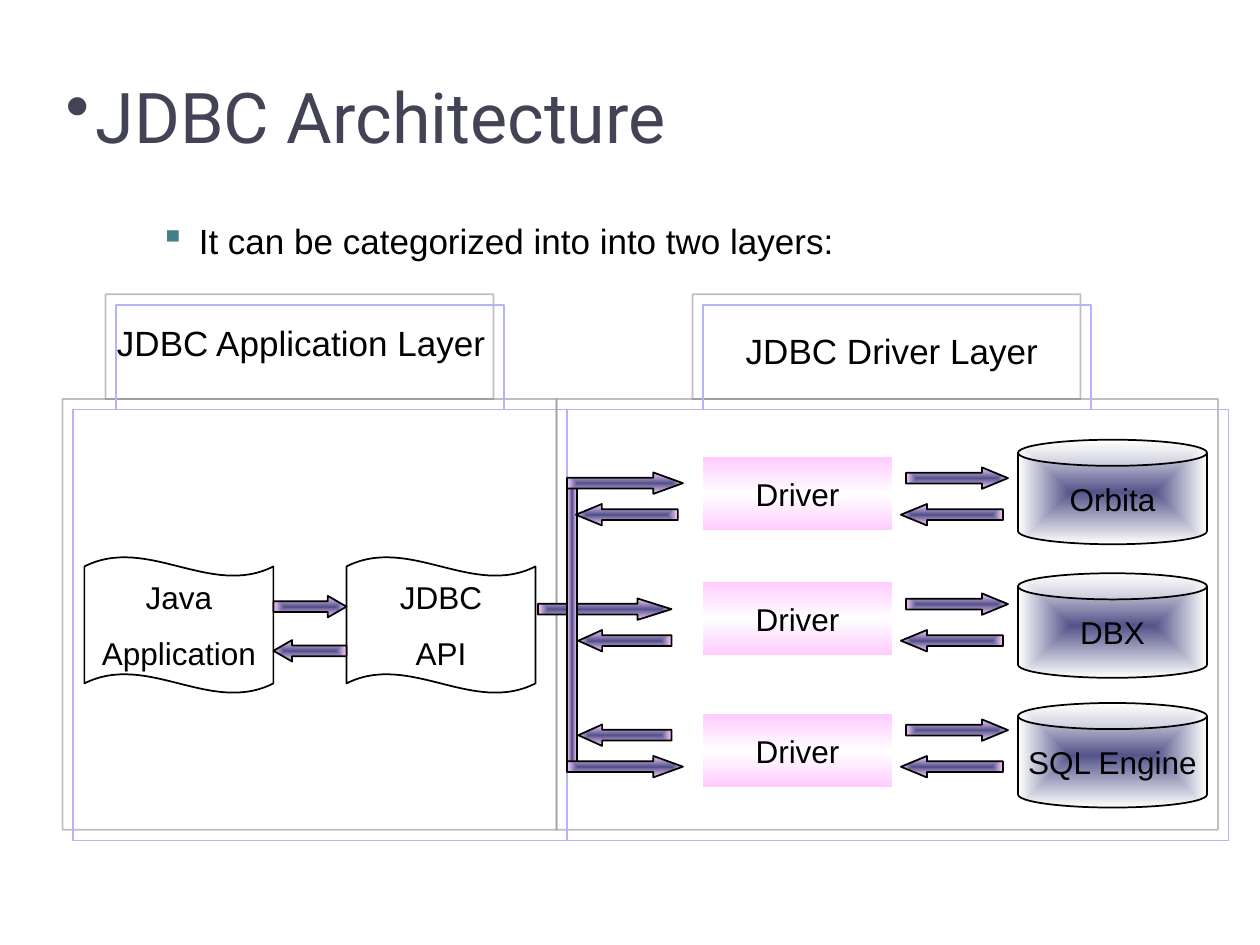
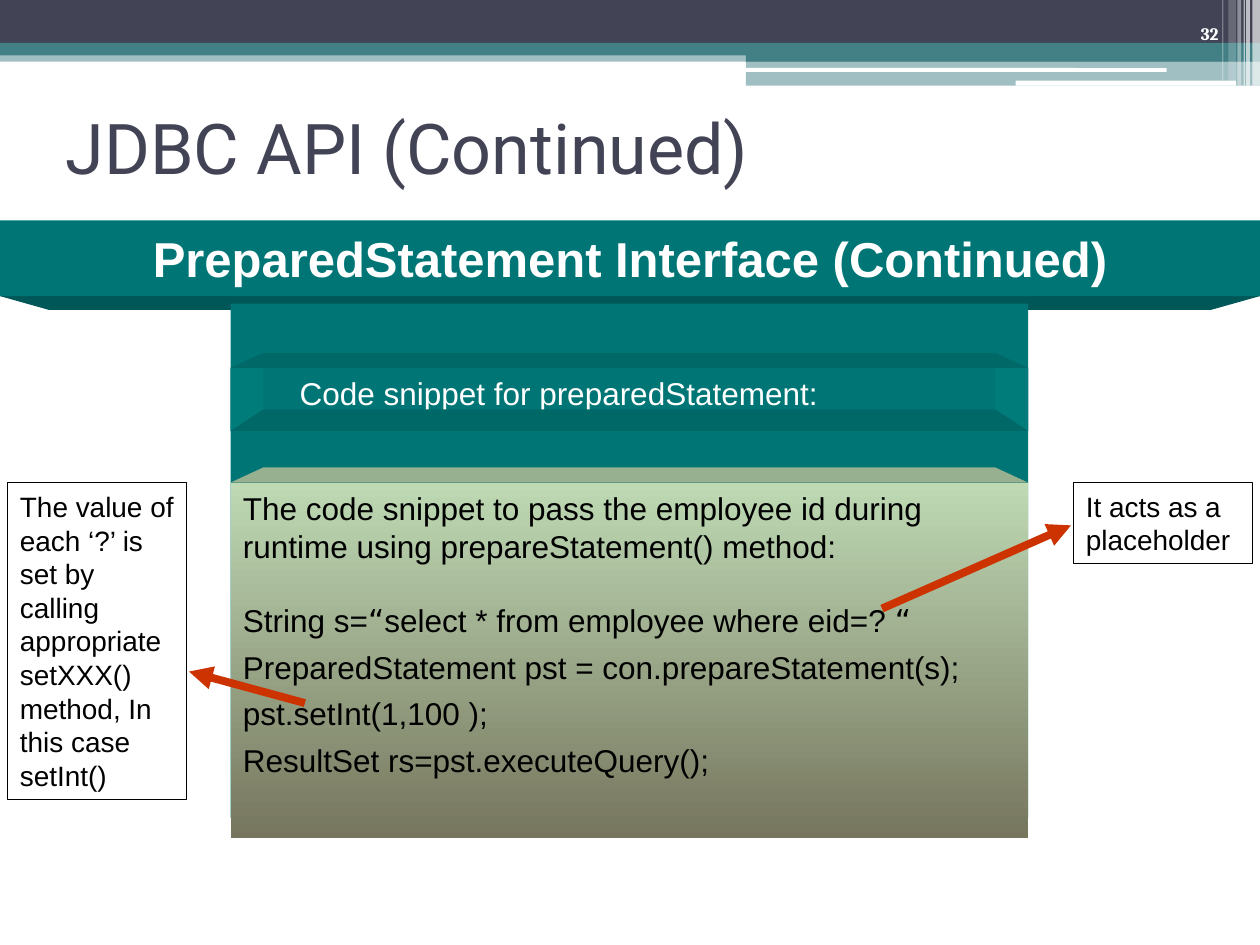
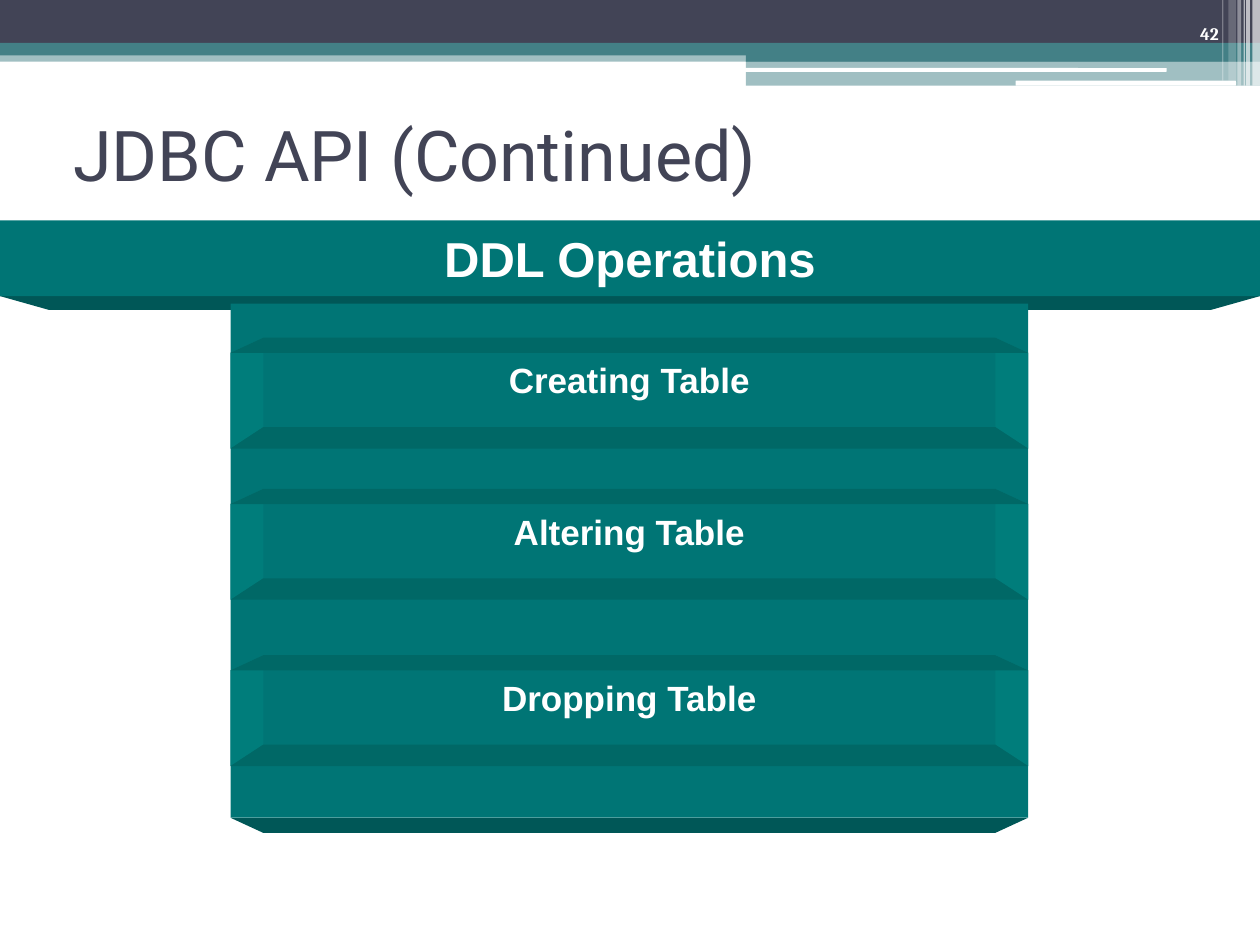
import pptx
import pptx.util
import pptx.dml.color
import pptx.enum.shapes
import pptx.enum.text
import pptx.oxml

Inches = pptx.util.Inches
Pt = pptx.util.Pt
KIND = pptx.enum.shapes.MSO_SHAPE
ALIGN = pptx.enum.text.PP_ALIGN
ANCHOR = pptx.enum.text.MSO_ANCHOR
NS = 'xmlns:a="http://schemas.openxmlformats.org/drawingml/2006/main"'

INK, TEAL, WHITE, BLACK = "424456", "438086", "FFFFFF", "000000"
FACE, SIDE, SHADE, LIP = "007575", "007D7B", "006866", "005757"
VIOLET, PINK, FRAME, RED = "53548A", "FFCCFF", "B4B4FC", "CC3300"
SAND, SAGE, MOSS = "76765E", "BED9B4", "97B08F"
RIM = 0.26


def paint(color):
    return pptx.dml.color.RGBColor.from_string(color)


def node(xml):
    return pptx.oxml.parse_xml(xml.replace(">", f" {NS}>", 1) if "/>" not in xml[:xml.find(">") + 1]
                               else xml.replace("/>", f" {NS}/>", 1))


def blend(shape, stops, angle=None):
    marks = "".join(f'<a:gs pos="{at * 1000}"><a:srgbClr val="{color}"/></a:gs>'
                    for at, color in stops)
    if angle is None:
        way = ('<a:path path="rect"><a:fillToRect l="50000" t="50000" '
               'r="50000" b="50000"/></a:path>')
    else:
        way = f'<a:lin ang="{angle * 60000}" scaled="0"/>'
    shape.fill.solid()
    props = shape._element.spPr
    old = props.find(pptx.oxml.ns.qn("a:solidFill"))
    props.replace(old, node(f"<a:gradFill><a:gsLst>{marks}</a:gsLst>{way}</a:gradFill>"))


def style(shape, fill=None, line=None, width=1, alpha=None):
    shape.shadow.inherit = False
    if fill is None:
        shape.fill.background()
    elif isinstance(fill, str):
        shape.fill.solid()
        shape.fill.fore_color.rgb = paint(fill)
        if alpha:
            tint = shape._element.spPr.find(".//" + pptx.oxml.ns.qn("a:srgbClr"))
            tint.append(node(f'<a:alpha val="{alpha * 1000}"/>'))
    else:
        blend(shape, *fill)
    if line:
        shape.line.color.rgb = paint(line)
        shape.line.width = Pt(width)
    else:
        shape.line.fill.background()
    return shape


def place(shape, box):
    shape.left, shape.top, shape.width, shape.height = map(Inches, box)


def shape(slide, box, kind=KIND.RECTANGLE, adj=(), **form):
    item = slide.shapes.add_shape(kind, *map(Inches, box))
    for spot, value in enumerate(adj):
        item.adjustments[spot] = value
    return style(item, **form)


def text(item, lines, size=18, font="Arial", color=BLACK, bold=False, align=ALIGN.LEFT,
         anchor=ANCHOR.MIDDLE, wrap=True, gaps=(), left=0, hang=0, mark=None, tone=None):
    frame = item.text_frame
    frame.auto_size = pptx.enum.text.MSO_AUTO_SIZE.NONE
    frame.word_wrap = wrap
    frame.vertical_anchor = anchor
    for spot, line in enumerate([lines] if isinstance(lines, str) else lines):
        para = frame.add_paragraph() if spot else frame.paragraphs[0]
        para.alignment = align
        if gaps:
            para.space_before = Pt(gaps[spot])
        props = para._p.get_or_add_pPr()
        if left:
            props.set("marL", str(Inches(left)))
            props.set("indent", str(Inches(hang)))
        if tone:
            props.append(node(f'<a:buClr><a:srgbClr val="{tone}"/></a:buClr>'))
        if mark:
            props.append(node(f'<a:buChar char="{mark}"/>'))
        for part, face in [(line, font)] if isinstance(line, str) else line:
            run = para.add_run()
            run.text = part
            run.font.name = face
            run.font.size = Pt(size)
            run.font.bold = bold
            run.font.color.rgb = paint(color)


def label(slide, box, lines, **form):
    text(slide.shapes.add_textbox(*map(Inches, box)), lines, **form)


def facet(slide, points, color):
    start, *rest = [(Inches(x), Inches(y)) for x, y in points]
    build = slide.shapes.build_freeform(*start)
    build.add_line_segments(rest, close=True)
    style(build.convert_to_shape(), color)


def title(slide, box, words, **form):
    place(slide.shapes.title, box)
    text(slide.shapes.title, words, size=40, font="Roboto", color=INK, **form)


def strips(slide, number):
    for box, fill, alpha in (
            ((0, 0.4, 10, 0.09), TEAL, 50), ((0, 0, 10, 0.34), INK, None),
            ((0, 0.34, 10, 0.1), TEAL, None), ((5.92, 0.39, 4.08, 0.1), TEAL, None),
            ((5.92, 0.48, 4.08, 0.2), TEAL, 50)):
        shape(slide, box, fill=fill, alpha=alpha)
    for box in ((5.91, 0.54, 3.35, 0.03), (8.06, 0.64, 1.75, 0.04)):
        shape(slide, box, KIND.ROUNDED_RECTANGLE, (0.17,), fill=WHITE)
    for x, wide, high, alpha in (
            (9.94, 0.06, 0.68, 65), (9.89, 0.03, 0.68, 65), (9.87, 0.01, 0.68, 60),
            (9.82, 0.03, 0.68, 40), (9.75, 0.06, 0.64, 20), (9.7, 0.01, 0.64, 30)):
        shape(slide, (x, 0, wide, high), fill=WHITE, alpha=alpha)
    label(slide, (8.94, 0, 0.83, 0.4), number, size=10, font="Cambria", color=WHITE,
          bold=True, align=ALIGN.RIGHT, anchor=ANCHOR.BOTTOM)


def slab(slide, box, rim, drop):
    x, y, wide, high = box
    low, end = y + high, x + wide
    facet(slide, [(x, low), (end, low), (end - rim, low + drop), (x + rim, low + drop)], LIP)
    return shape(slide, box, fill=FACE)


def board(slide, words):
    head = slab(slide, (0, 1.75, 10, 0.6), 0.39, 0.11)
    text(head, words, size=28, color=WHITE, bold=True, align=ALIGN.CENTER, wrap=False)
    slab(slide, (1.83, 2.41, 6.33, 4.08), RIM, 0.12)


def bar(slide, box, words, **form):
    x, y, wide, high = box
    end, low, top, foot = x + wide, y + high, y - 0.12, y + high - 0.17
    item = shape(slide, box, fill=FACE)
    for edge, inner in ((x, x + RIM), (end, end - RIM)):
        facet(slide, [(edge, y), (inner, top), (inner, foot), (edge, low)], SIDE)
    for line, base in ((top, y), (foot, low)):
        facet(slide, [(x, base), (x + RIM, line), (end - RIM, line), (end, base)], SHADE)
    text(item, words, color=WHITE, anchor=ANCHOR.TOP, **form)


def frame(slide, box):
    item = shape(slide, box, line=FRAME)
    cast = ('<a:outerShdw blurRad="0" dist="107950" dir="13500000" algn="ctr" '
            'rotWithShape="0"><a:srgbClr val="808080"><a:alpha val="50000"/>'
            '</a:srgbClr></a:outerShdw>')
    item._element.spPr.find(pptx.oxml.ns.qn("a:effectLst")).append(node(cast))


def arrow(slide, x, y, wide, back=False):
    item = shape(slide, (x, y, wide, 0.17), KIND.RIGHT_ARROW, (0.5, 1.5 * wide),
                 fill=([(0, VIOLET), (100, PINK)],), line=BLACK)
    item.rotation = 180 if back else 0


def block(slide, box, lines, kind=KIND.RECTANGLE, adj=(), gaps=(), **form):
    text(shape(slide, box, kind, adj, **form), lines, align=ALIGN.CENTER,
         wrap=False, gaps=gaps)


def client(slide, box):
    x, y, wide, high = box
    frame(slide, box)
    for step, lines in ((0.09, ["Java", "Application"]), (2.17, ["JDBC", "API"])):
        block(slide, (x + step, y + 1.17, 1.5, 1.08), lines, KIND.WAVE, (0.07, 0),
              gaps=(0, 10), line=BLACK)
    arrow(slide, x + 1.59, y + 1.48, 0.58)
    arrow(slide, x + 1.59, y + 1.83, 0.58, True)


def server(slide, box):
    x, y, wide, high = box
    frame(slide, box)
    rows = (("Orbita", 0.24, 0.38), ("DBX", 1.3, 1.37), ("SQL Engine", 2.33, 2.42))
    for spot, (name, can, card) in enumerate(rows):
        block(slide, (x + 3.58, y + can, 1.5, 0.83), name, KIND.CAN, (0.25,),
              fill=([(0, VIOLET), (100, WHITE)],), line=BLACK)
        block(slide, (x + 1.08, y + card, 1.5, 0.58), "Driver",
              fill=([(0, PINK), (50, WHITE), (100, PINK)], 90))
        arrow(slide, x + 2.69, y + 0.46 + spot, 0.81)
        arrow(slide, x + 2.65, y + 0.75 + spot, 0.81, True)
    arrow(slide, x - 0.23, y + 1.5, 1.06)
    arrow(slide, x + 0.09, y + 1.75, 0.74, True)
    shape(slide, (x, y + 0.58, 0.08, 2.25), fill=([(0, VIOLET), (100, PINK)],), line=BLACK)
    arrow(slide, x, y + 0.5, 0.92)
    arrow(slide, x + 0.07, y + 0.75, 0.81, True)
    arrow(slide, x, y + 2.75, 0.92)
    arrow(slide, x + 0.09, y + 2.5, 0.74, True)


def layers(slide):
    title(slide, (0.42, 0.33, 9, 1.17), "JDBC Architecture", left=0.24, hang=-0.24, mark="•")
    label(slide, (0.67, 1.69, 8.83, 0.43), "It can be categorized into into two layers:",
          size=20, left=0.81, hang=-0.31, mark="▪", tone=TEAL)
    client(slide, (0.58, 3.25, 3.92, 3.42))
    server(slide, (4.5, 3.25, 5.25, 3.42))
    for box, words in (((0.83, 2.5, 3.14, 0.43), "JDBC Application Layer"),
                       ((5.82, 2.57, 2.52, 0.43), "JDBC Driver Layer")):
        label(slide, box, words, size=20, wrap=False)
    for x in (0.92, 5.58):
        frame(slide, (x, 2.42, 3.08, 0.83))


def code(slide, box):
    x, y, wide, high = box
    end = x + wide
    facet(slide, [(x, y), (x + RIM, y - 0.12), (end - RIM, y - 0.12), (end, y)], MOSS)
    quote = "DejaVu Sans"
    lines = ["The code snippet to pass the employee id during runtime using "
             "prepareStatement() method:",
             [("String s=", "Arial"), ("“", quote),
              ("select * from employee where eid=? ", "Arial"), ("“", quote)],
             "PreparedStatement pst = con.prepareStatement(s);",
             "pst.setInt(1,100 );",
             "ResultSet rs=pst.executeQuery();"]
    text(shape(slide, box, fill=([(0, SAGE), (100, SAND)], 90)), lines,
         anchor=ANCHOR.TOP, gaps=(0, 21, 5, 5, 5))


def hint(slide, box, words, start, stop):
    pin = slide.shapes.add_connector(pptx.enum.shapes.MSO_CONNECTOR.STRAIGHT,
                                     *map(Inches, start + stop))
    pin.line.color.rgb = paint(RED)
    pin.line.width = Pt(4.5)
    pin.line._get_or_add_ln().append(node('<a:tailEnd type="triangle"/>'))
    pin._element.spPr.append(node("<a:effectLst/>"))
    text(shape(slide, box, line=BLACK, width=0.25), words, size=16)


def snippet(slide):
    strips(slide, "32")
    title(slide, (0.42, 0.58, 9, 1.17), "JDBC API (Continued)")
    board(slide, "PreparedStatement Interface (Continued)")
    bar(slide, (1.83, 2.92, 6.33, 0.5), "Code snippet for preparedStatement:",
        left=0.56, hang=-0.11)
    code(slide, (1.83, 3.83, 6.33, 2.82))
    hint(slide, (8.52, 3.83, 1.42, 0.64), "It acts as a placeholder", (7, 4.83), (8.5, 4.17))
    hint(slide, (0.06, 3.83, 1.42, 2.51),
         "The value of each ‘?’ is set by calling appropriate setXXX() method, "
         "In this case setInt()", (2.42, 5.58), (1.5, 5.33))


def tables(slide):
    strips(slide, "42")
    title(slide, (0.48, 0.63, 9, 1.17), "JDBC API (Continued)")
    board(slide, "DDL Operations")
    for y, verb in ((2.8, "Creating"), (4, "Altering"), (5.32, "Dropping")):
        bar(slide, (1.83, y, 6.33, 0.76), f"{verb} Table", size=20, bold=True,
            align=ALIGN.CENTER, wrap=False)


deck = pptx.Presentation()
deck.slide_width, deck.slide_height = Inches(10), Inches(7.5)
for draw in (layers, snippet, tables):
    draw(deck.slides.add_slide(deck.slide_layouts[5]))
deck.save("out.pptx")
